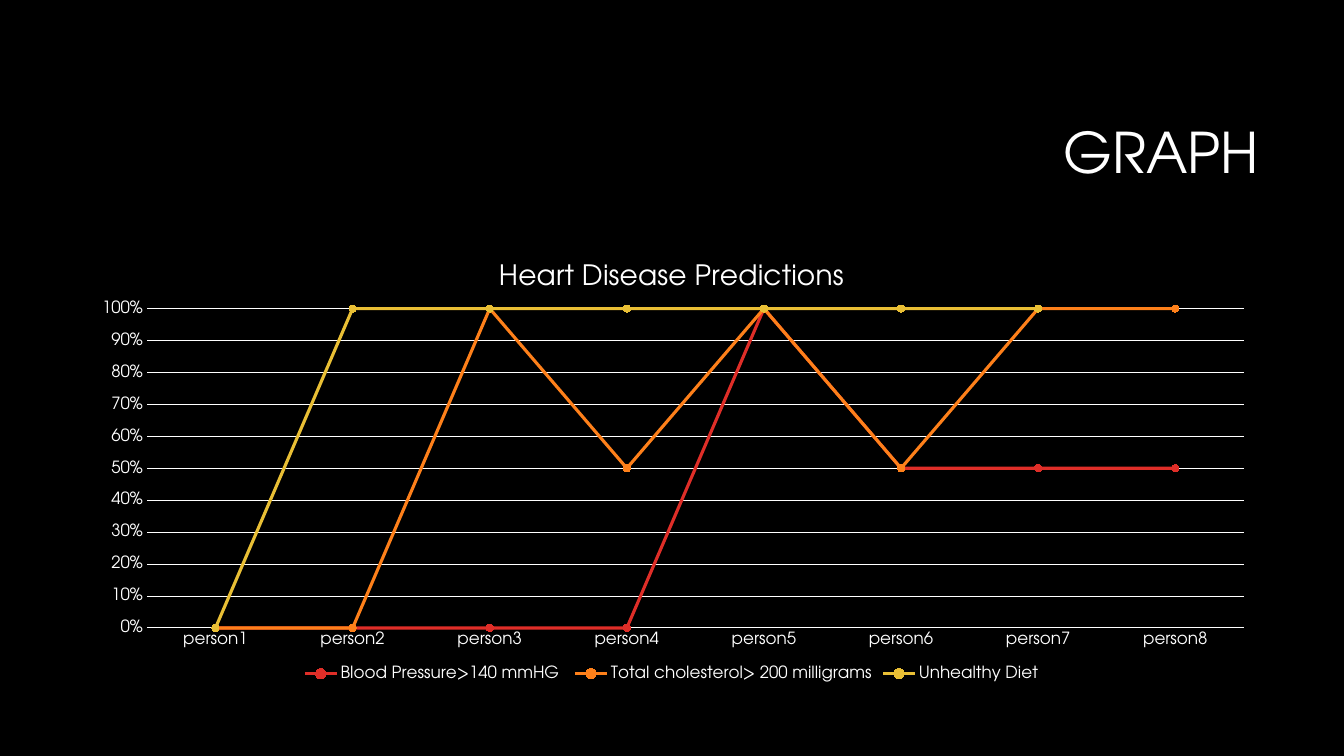
import pptx
import pptx.chart.data
import pptx.dml.color
import pptx.enum.chart
import pptx.enum.text
import pptx.oxml
import pptx.oxml.ns
import pptx.util
from pptx.util import Cm

HEADING = "GRAPH"
CHART_TITLE = "Heart Disease Predictions"
PEOPLE = [f"person{number}" for number in range(1, 9)]
FACTORS = [
    ("Blood Pressure>140 mmHG ", "red", (0, 0, 0, 0, 100, 50, 50, 50)),
    ("Total cholesterol> 200 milligrams", "orange", (0, 0, 100, 50, 0, 0, 50, 50)),
    ("Unhealthy Diet", "yellow", (0, 100, 0, 50, 0, 50, 0, None)),
]
COLORS = {
    "background": "000000",
    "text": "FFFFFF",
    "red": "DF2E28",
    "orange": "FE801A",
    "yellow": "E9BF35",
}
FONT = "TeX Gyre Adventor"
HEADING_BOX = (Cm(8.05), Cm(2.13), Cm(23.93), Cm(3.58))
CHART_BOX = (Cm(1.9), Cm(6.1), Cm(30.05), Cm(11.18))
PLOT_SHARE = {"x": 0.06, "y": 0.15, "w": 0.92, "h": 0.72}


def rgb(name):
    return pptx.dml.color.RGBColor.from_string(COLORS[name])


def style_font(font, size):
    font.name = FONT
    font.size = pptx.util.Pt(size)
    font.bold = False
    font.color.rgb = rgb("text")


def write_text(frame, text, size, align=None, spacing=None):
    paragraph = frame.paragraphs[0]
    paragraph.alignment = align
    paragraph.line_spacing = spacing
    run = paragraph.add_run()
    run.text = text
    style_font(run.font, size)


def style_line(line, color, width):
    line.color.rgb = rgb(color)
    line.width = pptx.util.Pt(width)


def place_plot(chart):
    plot_area = chart.plots[0]._element.getparent()
    for layout in plot_area.findall(pptx.oxml.ns.qn("c:layout")):
        plot_area.remove(layout)
    shares = "".join(f'<c:{key} val="{share}"/>' for key, share in PLOT_SHARE.items())
    plot_area.insert(0, pptx.oxml.parse_xml(
        f'<c:layout {pptx.oxml.ns.nsdecls("c")}><c:manualLayout>'
        '<c:layoutTarget val="inner"/><c:xMode val="edge"/><c:yMode val="edge"/>'
        f'{shares}</c:manualLayout></c:layout>'))


def add_heading(slide):
    frame = slide.shapes.add_textbox(*HEADING_BOX).text_frame
    frame.word_wrap = True
    frame.vertical_anchor = pptx.enum.text.MSO_ANCHOR.MIDDLE
    write_text(frame, HEADING, 40, align=pptx.enum.text.PP_ALIGN.RIGHT, spacing=0.9)


def add_predictions(slide):
    predictions = pptx.chart.data.CategoryChartData()
    predictions.categories = PEOPLE
    for factor, _, values in FACTORS:
        predictions.add_series(factor, values)
    chart = slide.shapes.add_chart(
        pptx.enum.chart.XL_CHART_TYPE.LINE_MARKERS_STACKED_100,
        *CHART_BOX, predictions).chart
    style_font(chart.font, 10)
    write_text(chart.chart_title.text_frame, CHART_TITLE, 20)
    chart.chart_title.include_in_layout = False

    chart.has_legend = True
    chart.legend.position = pptx.enum.chart.XL_LEGEND_POSITION.BOTTOM
    chart.legend.include_in_layout = False
    style_font(chart.legend.font, 12)

    people_axis, percent_axis = chart.category_axis, chart.value_axis
    for axis in (people_axis, percent_axis):
        axis.major_tick_mark = pptx.enum.chart.XL_TICK_MARK.NONE
        axis.minor_tick_mark = pptx.enum.chart.XL_TICK_MARK.NONE
        style_font(axis.tick_labels.font, 12)
    style_line(people_axis.format.line, "text", 0.75)
    percent_axis.format.line.fill.background()
    percent_axis.minimum_scale = 0
    percent_axis.maximum_scale = 1
    percent_axis.major_unit = 0.1
    percent_axis.tick_labels.number_format = "0%"
    percent_axis.tick_labels.number_format_is_linked = False
    percent_axis.has_major_gridlines = True
    style_line(percent_axis.major_gridlines.format.line, "text", 0.75)

    chart.plots[0].vary_by_categories = False
    for series, (_, color, _) in zip(chart.plots[0].series, FACTORS):
        series.smooth = False
        style_line(series.format.line, color, 2.25)
        series.marker.style = pptx.enum.chart.XL_MARKER_STYLE.CIRCLE
        series.marker.size = 5
        series.marker.format.fill.solid()
        series.marker.format.fill.fore_color.rgb = rgb(color)
        style_line(series.marker.format.line, color, 0.75)
    place_plot(chart)


def main():
    deck = pptx.Presentation()
    deck.slide_width, deck.slide_height = Cm(33.87), Cm(19.05)
    slide = deck.slides.add_slide(deck.slide_layouts[6])
    slide.background.fill.solid()
    slide.background.fill.fore_color.rgb = rgb("background")
    add_heading(slide)
    add_predictions(slide)
    deck.save("out.pptx")


if __name__ == "__main__":
    main()
